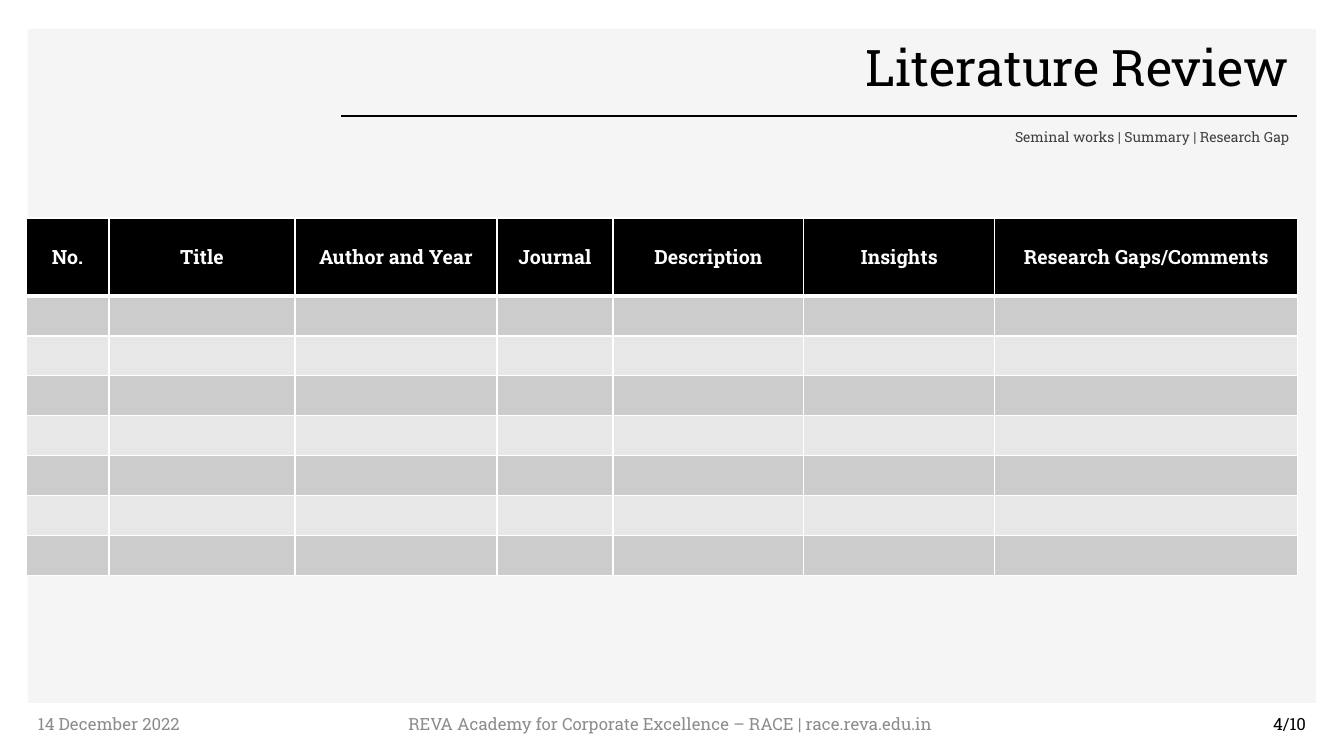
from dataclasses import dataclass

from lxml.etree import SubElement
from pptx import Presentation
from pptx.dml.color import RGBColor
from pptx.enum.shapes import MSO_CONNECTOR, MSO_SHAPE
from pptx.enum.text import MSO_ANCHOR, PP_ALIGN
from pptx.oxml.ns import qn
from pptx.util import Pt

SCALE = 914400 / 100.8
FONT = "Roboto Slab"
HEX = {
    "black": "000000", "white": "FFFFFF", "panel": "F5F5F5", "foot": "8C8C8C",
    "sub": "404040", "dark": "CCCCCC", "light": "E7E7E7",
}
HEADS = ["No.", "Title", "Author and Year", "Journal", "Description", "Insights",
         "Research Gaps/Comments"]
COLS = [83, 186, 202, 116, 191, 191, 303]
ROWS = [78] + [40] * 7


@dataclass
class Label:
    """A single line of text and the box that holds it, in px."""
    text: str
    box: tuple[int, int, int, int]
    size: int
    tone: str
    align: PP_ALIGN
    anchor: MSO_ANCHOR = MSO_ANCHOR.MIDDLE


TITLE = Label("Literature Review", (375, 33, 924, 74), 36, "black", PP_ALIGN.RIGHT)
LABELS = [
    Label("14 December 2022", (28, 704, 302, 40), 12, "foot", PP_ALIGN.LEFT),
    Label("REVA Academy for Corporate Excellence – RACE | race.reva.edu.in",
          (350, 704, 641, 40), 12, "foot", PP_ALIGN.CENTER),
    Label("Seminal works | Summary | Research Gap", (802, 124, 497, 27), 10, "sub",
          PP_ALIGN.RIGHT, MSO_ANCHOR.TOP),
    Label("4/10", (1014, 704, 302, 40), 12, "black", PP_ALIGN.RIGHT),
]


def px(*vals: int) -> list[int]:
    """Turn px into EMU."""
    return [round(val * SCALE) for val in vals]


def tint(name: str) -> RGBColor:
    """Look up a colour by name."""
    return RGBColor.from_string(HEX[name])


def style(para, size: int, tone: str, align: PP_ALIGN, bold: bool = False) -> None:
    """Set the font and alignment of a paragraph."""
    para.alignment = align
    font = para.font
    font.name, font.size, font.bold = FONT, Pt(size), bold
    font.color.rgb = tint(tone)


def write(shape, label: Label) -> None:
    """Place a text shape and fill it with its label."""
    shape.left, shape.top, shape.width, shape.height = px(*label.box)
    frame = shape.text_frame
    frame.word_wrap = True
    frame.vertical_anchor = label.anchor
    frame.text = label.text
    style(frame.paragraphs[0], label.size, label.tone, label.align)


def edge(cell, side: str, width: int) -> None:
    """Draw one white border of a cell."""
    props = cell._tc.get_or_add_tcPr()
    line = SubElement(props, qn(f"a:ln{side}"), w=str(Pt(width)))
    fill = SubElement(line, qn("a:solidFill"))
    SubElement(fill, qn("a:srgbClr"), val=HEX["white"])


def draw_back(slide, title) -> None:
    """Draw the panel behind the title and the rule below it."""
    panel = slide.shapes.add_shape(MSO_SHAPE.RECTANGLE, *px(28, 29, 1288, 674))
    panel.shadow.inherit = False
    panel.fill.solid()
    panel.fill.fore_color.rgb = tint("panel")
    panel.line.fill.background()
    rule = slide.shapes.add_connector(MSO_CONNECTOR.STRAIGHT, *px(341, 116, 1297, 116))
    rule.line.color.rgb = tint("black")
    rule.line.width = Pt(1)
    SubElement(rule._element.spPr, qn("a:effectLst"))
    for part in (panel, rule):
        title._element.addprevious(part._element)


def draw_table(slide) -> None:
    """Draw the review table with its header and empty banded rows."""
    box = px(26, 218, sum(COLS), sum(ROWS))
    table = slide.shapes.add_table(len(ROWS), len(COLS), *box).table
    table.first_row = table.horz_banding = False
    for col, width in zip(table.columns, px(*COLS)):
        col.width = width
    for num, (row, height) in enumerate(zip(table.rows, px(*ROWS))):
        row.height = height
        tone = "black" if num == 0 else "dark" if num % 2 else "light"
        for cell, head in zip(row.cells, HEADS):
            for side in "LRTB":
                thick = (num, side) in ((0, "B"), (1, "T"))
                edge(cell, side, 3 if thick else 1)
            cell.fill.solid()
            cell.fill.fore_color.rgb = tint(tone)
            cell.vertical_anchor = MSO_ANCHOR.MIDDLE
            para = cell.text_frame.paragraphs[0]
            if num == 0:
                para.text = head
                style(para, 14, "white", PP_ALIGN.CENTER, True)
            else:
                style(para, 14, "black", PP_ALIGN.LEFT)


def main() -> None:
    """Build the slide and save it."""
    deck = Presentation()
    deck.slide_width, deck.slide_height = px(1344, 756)
    slide = deck.slides.add_slide(deck.slide_layouts[5])
    title = slide.shapes.title
    write(title, TITLE)
    title.text_frame.paragraphs[0].line_spacing = 0.9
    draw_back(slide, title)
    draw_table(slide)
    for label in LABELS:
        write(slide.shapes.add_textbox(*px(*label.box)), label)
    deck.save("out.pptx")


if __name__ == "__main__":
    main()
